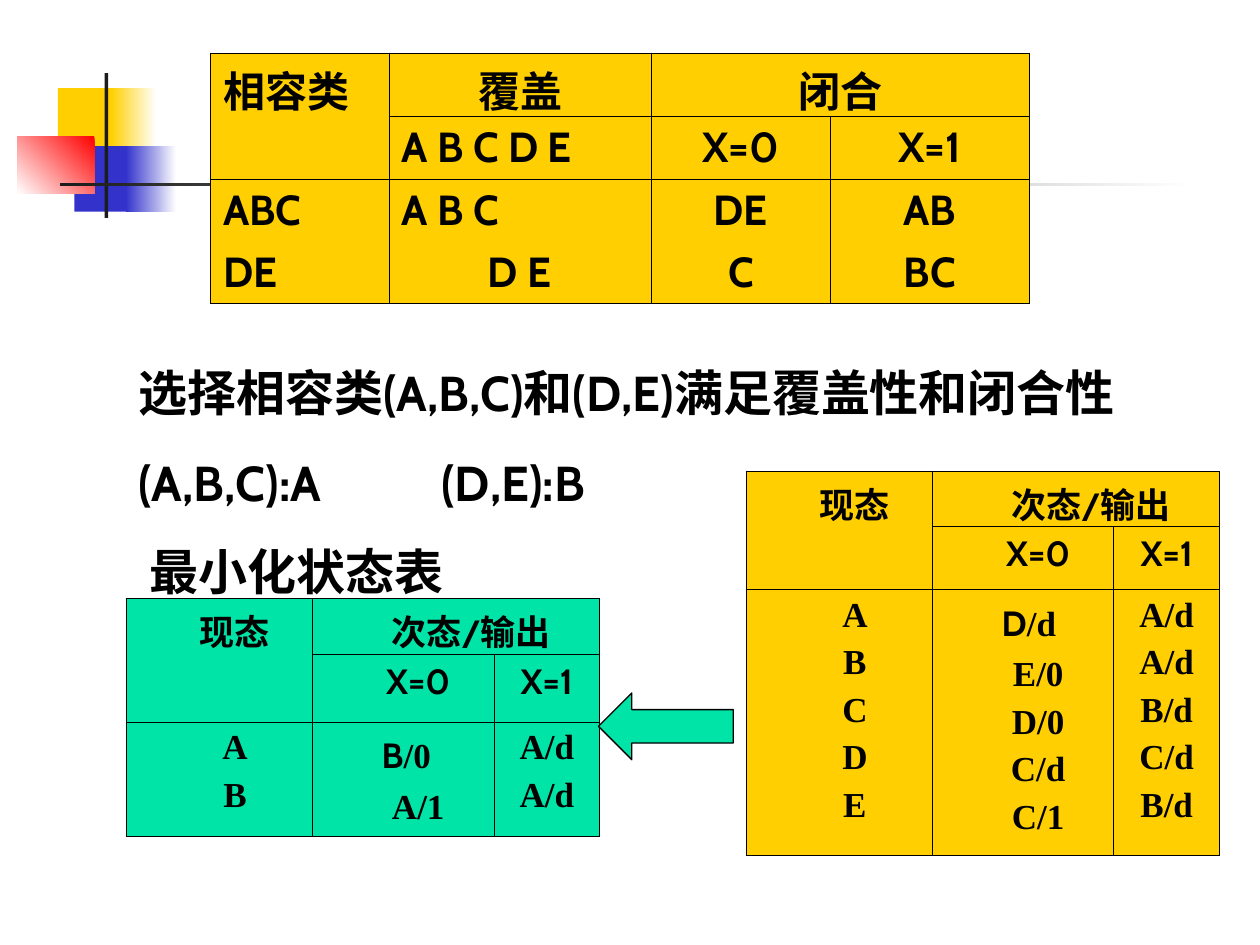
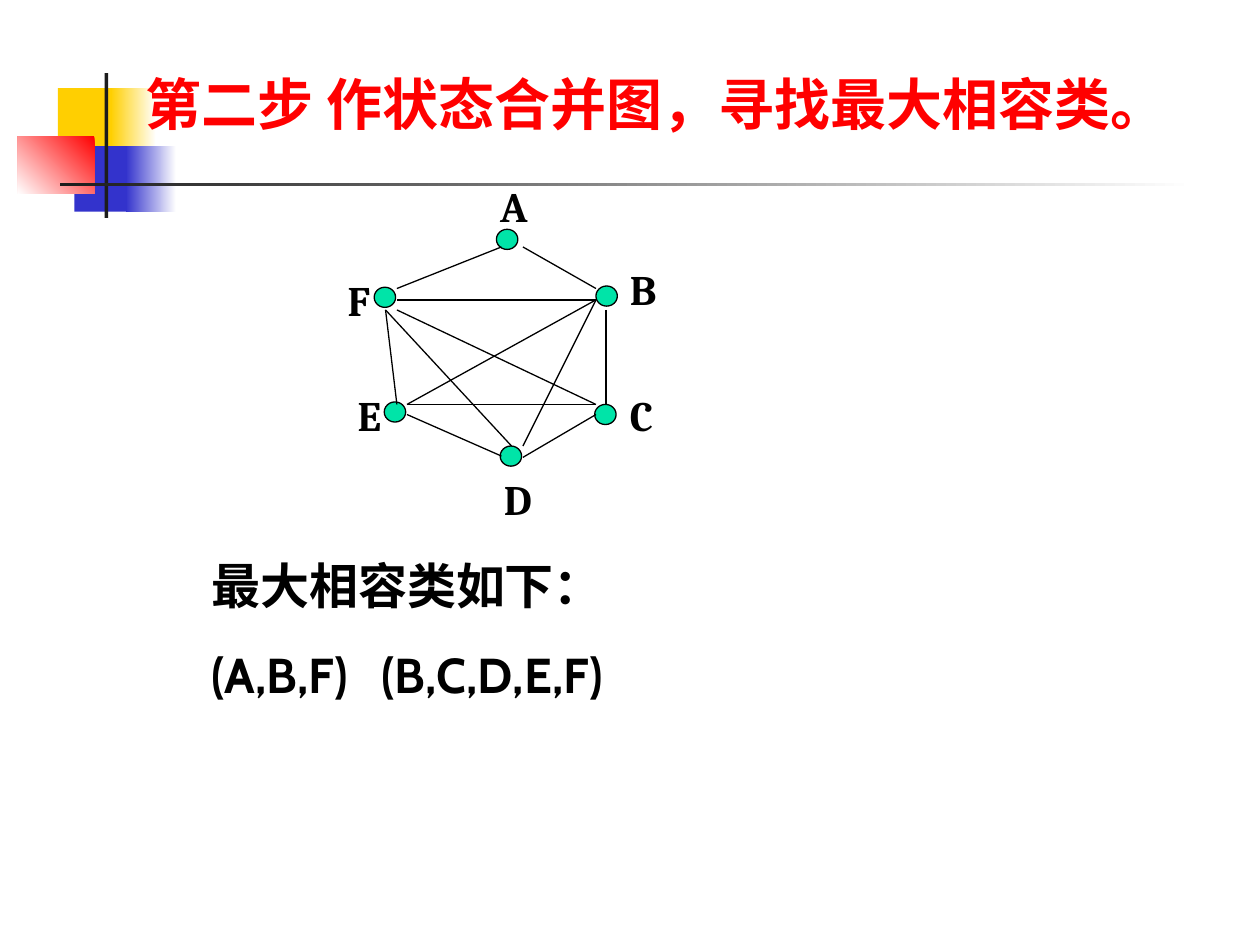
import pptx
import pptx.util
import pptx.dml.color
import pptx.enum.shapes
import pptx.enum.text
import pptx.oxml
import pptx.oxml.ns
from lxml import etree

Inches, Pt = pptx.util.Inches, pptx.util.Pt
RGB = pptx.dml.color.RGBColor.from_string
SHAPE = pptx.enum.shapes.MSO_SHAPE
LEFT, CENTER = pptx.enum.text.PP_ALIGN.LEFT, pptx.enum.text.PP_ALIGN.CENTER
qn = pptx.oxml.ns.qn

COLORS = {"black": "000000", "white": "FFFFFF", "yellow": "FFCF01", "blue": "3333CC",
          "red": "FF0000", "dark": "1C1C1C", "green": "00E4A8"}
BODY_FONT, TABLE_FONT, NODE_FONT = "Cabin", "Times New Roman", "Cambria"


def set_text(tf, text, size, font=BODY_FONT, gap=0, align=LEFT, color="black", tab=None):
    """Fill a frame, one paragraph per line; gap separates paragraphs, tab is a stop in inches."""
    tf.word_wrap = True
    tf.text = text
    for i, p in enumerate(tf.paragraphs):
        p.alignment = align
        if i:
            p.space_before = Pt(gap)
        if tab and "\t" in p.text:
            tabs = etree.SubElement(p._p.get_or_add_pPr(), qn("a:tabLst"))
            etree.SubElement(tabs, qn("a:tab"), pos=str(Inches(tab)), algn="l")
        p.font.name = font
        p.font.size = Pt(size)
        p.font.bold = True
        p.font.color.rgb = RGB(COLORS[color])


def add_filled(s, kind, box, fill, outlined=False):
    """Add a shape; fill is a colour name or (first colour, last colour, angle)."""
    sp = s.shapes.add_shape(kind, *map(Inches, box))
    sp.shadow.inherit = False
    if isinstance(fill, tuple):
        sp.fill.gradient()
        sp.fill.gradient_angle = fill[2]
        for stop, name in zip(sp.fill.gradient_stops, fill):
            stop.color.rgb = RGB(COLORS[name])
    else:
        sp.fill.solid()
        sp.fill.fore_color.rgb = RGB(COLORS[fill])
    if outlined:
        sp.line.color.rgb = RGB(COLORS["black"])
        sp.line.width = Pt(0.75)
    else:
        sp.line.fill.background()
    return sp


prs = pptx.Presentation()
prs.slide_width, prs.slide_height = Inches(10), Inches(7.5)

# Corner blocks and rule shared by both slides
DECORATION = [
    ((0.46, 0.7, 0.48, 0.52), "yellow"),
    ((0.88, 0.7, 0.36, 0.52), ("white", "yellow", 180)),
    ((0.59, 1.16, 0.46, 0.52), "blue"),
    ((1, 1.16, 0.4, 0.52), ("white", "blue", 180)),
    ((0.14, 1.08, 0.61, 0.46), ("red", "white", 225)),
    ((0.83, 0.58, 0.03, 1.15), "dark"),
    ((0.48, 1.45, 9, 0.03), ("white", "dark", 180)),
]
for _ in range(2):
    s = prs.slides.add_slide(prs.slide_layouts[6])
    for box, fill in DECORATION:
        add_filled(s, SHAPE.RECTANGLE, box, fill)
table_slide, graph_slide = prs.slides

# Slide 1: cover table and state tables
s = table_slide
tb = s.shapes.add_textbox(Inches(1), Inches(2.83), Inches(8.5), Inches(2.46))
set_text(tb.text_frame, "选择相容类(A,B,C)和(D,E)满足覆盖性和闭合性\n(A,B,C):A\t(D,E):B\n最小化状态表",
         28, gap=17.5, tab=2.41)
tb.text_frame.paragraphs[2]._p.get_or_add_pPr().set("marL", str(Inches(0.09)))

STATE_COLS = [0.25, 1.23, 0.24, 1.2, 0.84]
STATE_MERGES = [(0, 0, 1, 0), (0, 1, 1, 1), (0, 3, 0, 4)]
STATE_HEAD = [["", "现态", "", "次态/输出", ""], ["", "", "", "X=0", "X=1"]]
TABLES = [
    {"at": (1.67, 0.42), "fill": "yellow", "cols": [1.42, 2.08, 1.42, 1.58],
     "rows": [0.5, 0.5, 0.99], "merges": [(0, 0, 1, 0), (0, 2, 0, 3)], "state": False,
     "cells": [["相容类", "覆盖", "闭合", ""],
               ["", "A B C D E", "X=0", "X=1"],
               ["ABC\nDE", "A B C\nD E", "DE\nC", "AB\nBC"]]},
    {"at": (1, 4.75), "fill": "green", "cols": STATE_COLS, "rows": [0.44, 0.54, 0.91],
     "merges": STATE_MERGES, "state": True,
     "cells": STATE_HEAD + [["", "A\nB", "", "B/0\nA/1", "A/d\nA/d"]]},
    {"at": (5.92, 3.74), "fill": "yellow", "cols": STATE_COLS, "rows": [0.44, 0.5, 2.11],
     "merges": STATE_MERGES, "state": True,
     "cells": STATE_HEAD + [["", "A\nB\nC\nD\nE", "", "D/d\nE/0\nD/0\nC/d\nC/1",
                             "A/d\nA/d\nB/d\nC/d\nB/d"]]},
]
for spec in TABLES:
    cols, rows, is_state = spec["cols"], spec["rows"], spec["state"]
    size = (sum(cols), sum(rows))
    table = s.shapes.add_table(len(rows), len(cols), *map(Inches, spec["at"] + size)).table
    table.first_row = table.horz_banding = False
    for col, width in zip(table.columns, cols):
        col.width = Inches(width)
    for row, height in zip(table.rows, rows):
        row.height = Inches(height)
    for r1, c1, r2, c2 in spec["merges"]:
        table.cell(r1, c1).merge(table.cell(r2, c2))

    for r, texts in enumerate(spec["cells"]):
        for c, text in enumerate(texts):
            cell = table.cell(r, c)
            if cell.is_spanned:
                continue
            # A narrow state column is open towards the column on its right
            hidden = {0: "R", 1: "L", 2: "R", 3: "L"}.get(c) if is_state else None
            tcPr = cell._tc.get_or_add_tcPr()
            for side in "LRTB":
                ln = etree.SubElement(tcPr, qn("a:ln" + side), w=str(Pt(0.45)))
                if side == hidden:
                    etree.SubElement(ln, qn("a:noFill"))
                else:
                    fill = etree.SubElement(ln, qn("a:solidFill"))
                    etree.SubElement(fill, qn("a:srgbClr"), val=COLORS["black"])
            cell.fill.solid()
            cell.fill.fore_color.rgb = RGB(COLORS[spec["fill"]])
            if not text:
                continue
            if is_state:
                set_text(cell.text_frame, text, 20, TABLE_FONT if r == 2 else BODY_FONT, 5, CENTER)
            else:
                centred = c > 1 or text == "覆盖"
                set_text(cell.text_frame, text, 24, gap=6, align=CENTER if centred else LEFT)

    if is_state:
        # First next state: indented, its letter in the body font
        cell = table.cell(2, 3)
        cell.margin_top = Inches(0.1)
        p, second = cell.text_frame.paragraphs[:2]
        second.space_before = Pt(6)
        p.alignment = LEFT
        p._p.get_or_add_pPr().set("marL", str(Inches(0.21)))
        letter, output = p.runs[0], p.add_run()
        letter.text, output.text = letter.text[:1], letter.text[1:]
        letter.font.name = BODY_FONT
    else:
        p = table.cell(2, 1).text_frame.paragraphs[1]
        p._p.get_or_add_pPr().set("marL", str(Inches(0.68)))

add_filled(s, SHAPE.LEFT_ARROW, (4.75, 5.5, 1.07, 0.53), "green", outlined=True)

# Slide 2: state merging graph
s = graph_slide
tb = s.shapes.add_textbox(Inches(1.06), Inches(0.5), Inches(8.67), Inches(0.75))
set_text(tb.text_frame, "第二步 作状态合并图，寻找最大相容类。", 32, color="red")

NODES = {  # node corner, label corner
    "A": ((3.94, 1.82), (3.87, 1.38)),
    "B": ((4.73, 2.27), (4.9, 2.04)),
    "C": ((4.72, 3.21), (4.9, 3.04)),
    "D": ((3.97, 3.54), (3.9, 3.71)),
    "E": ((3.05, 3.19), (2.74, 3.04)),
    "F": ((2.97, 2.28), (2.66, 2.13)),
}
for name, (node_at, label_at) in NODES.items():
    add_filled(s, SHAPE.OVAL, node_at + (0.17, 0.16), "green", outlined=True)
    tb = s.shapes.add_textbox(*map(Inches, label_at + (0.45, 0.5)))
    set_text(tb.text_frame, name, 24, NODE_FONT)

EDGES = [
    (4.15, 1.96, 4.73, 2.29), (3.98, 1.96, 3.15, 2.29),  # A-B, A-F
    (4.81, 2.46, 4.81, 3.21), (4.73, 2.38, 4.15, 3.54),  # B-C, B-D
    (4.73, 2.38, 3.23, 3.21), (4.73, 2.38, 3.15, 2.38),  # B-E, B-F
    (4.73, 3.29, 4.15, 3.63), (4.73, 3.21, 3.23, 3.21),  # C-D, C-E
    (4.73, 3.21, 3.15, 2.46), (3.98, 3.62, 3.23, 3.29),  # C-F, D-E
    (4.06, 3.54, 3.06, 2.46), (3.15, 3.21, 3.06, 2.46),  # D-F, E-F
]
for ends in EDGES:
    edge = s.shapes.add_connector(pptx.enum.shapes.MSO_CONNECTOR.STRAIGHT, *map(Inches, ends))
    edge.line.color.rgb = RGB(COLORS["black"])
    edge.line.width = Pt(0.75)
    etree.SubElement(edge._element.spPr, qn("a:effectLst"))

tb = s.shapes.add_textbox(Inches(1.58), Inches(4.36), Inches(4.17), Inches(1.28))
set_text(tb.text_frame, "最大相容类如下：\n(A,B,F)\t(B,C,D,E,F)", 28, gap=17.5, tab=1.35)

prs.save("out.pptx")
